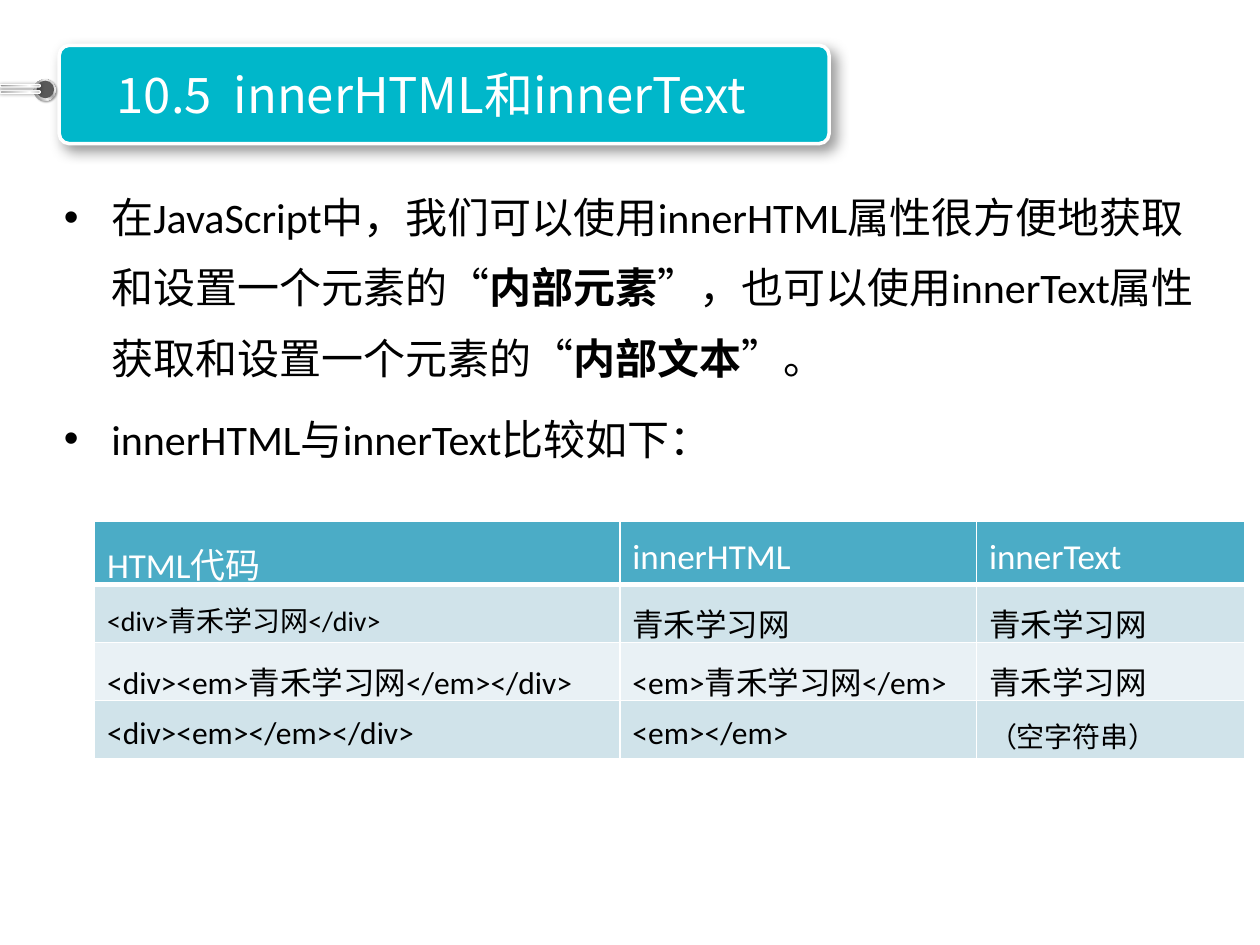
from dataclasses import dataclass
from typing import Optional, Sequence, Union

from lxml import etree
from pptx import Presentation
from pptx import util as u
from pptx.dml import color
from pptx.enum import shapes, text
from pptx.oxml import ns

WHITE, BLACK, TEAL = "FFFFFF", "000000", "00B7CA"
HEADER, BAND_DARK, BAND_LIGHT = "4BACC6", "D0E3EA", "E9F1F5"
RING = [(0, WHITE), (17, "A6A6A6"), (35, "F2F2F2"), (55, "A6A6A6"), (75, "F2F2F2"), (100, "A6A6A6")]
METAL = [(0, "808080"), (23, "A6A6A6"), (52, "D9D9D9"), (74, WHITE), (100, "A6A6A6")]


@dataclass
class Shadow:
    """Outer shadow: blur and distance in points, angle in degrees."""
    blur: float
    distance: float
    angle: float


@dataclass
class Part:
    """One piece of the title banner."""
    kind: shapes.MSO_SHAPE
    at: tuple
    fill: Union[str, list]
    angle: float = 0
    adjust: Optional[float] = None
    line: float = 0
    rotation: float = 0
    shadow: Optional[Shadow] = None


@dataclass
class Entry:
    """One table cell's wording and size."""
    words: str
    size: float = 18


ROUND, OVAL = shapes.MSO_SHAPE.ROUNDED_RECTANGLE, shapes.MSO_SHAPE.OVAL
PARTS = [
    Part(ROUND, (33.84, 25.92, 439.92, 56.16), TEAL, adjust=0.1, line=2, shadow=Shadow(8, 4, 45)),
    Part(OVAL, (19.44, 45.36, 12.24, 12.24), RING, 45, rotation=270, shadow=Shadow(1, 1, 45)),
    Part(OVAL, (20.88, 46.08, 10.08, 10.08), "595959", rotation=270),
] + [
    Part(ROUND, (10.8, top, 1.44, 23.04), METAL, 90, 0.5, 0.75, 270, Shadow(2, 0, 0))
    for top in (41.04, 37.44)
]
BULLETS = [
    [("在JavaScript中，我们可以使用innerHTML属性很方便地获取和设置一个元素的“", False),
     ("内部元素", True),
     ("”，也可以使用innerText属性获取和设置一个元素的“", False),
     ("内部文本", True),
     ("”。", False)],
    [("innerHTML与innerText比较如下：", False)],
]
SITE = "青禾学习网"
ROWS = [
    [Entry("HTML代码", 20), Entry("innerHTML", 20), Entry("innerText", 20)],
    [Entry(f"<div>{SITE}</div>", 16), Entry(SITE), Entry(SITE)],
    [Entry(f"<div><em>{SITE}</em></div>"), Entry(f"<em>{SITE}</em>"), Entry(SITE)],
    [Entry("<div><em></em></div>"), Entry("<em></em>"), Entry("（空字符串）", 16)],
]
COLUMNS = (300.24, 203.76, 153.36)
ROW_HEIGHT = 30.96


def rgb(value: str) -> color.RGBColor:
    """Turn a hex string into a colour."""
    return color.RGBColor.from_string(value)


def child(parent, tag: str, **attributes):
    """Append a DrawingML element."""
    values = {name: str(value) for name, value in attributes.items()}
    return etree.SubElement(parent, ns.qn(f"a:{tag}"), values)


def place(item, at: Sequence[float]) -> None:
    """Set left, top, width and height in points."""
    item.left, item.top, item.width, item.height = map(u.Pt, at)


def add_span(para, words: str, size: float, ink: str, font: str = "Calibri", bold: bool = False) -> None:
    """Add one formatted run."""
    span = para.add_run()
    span.text = words
    span.font.size, span.font.name, span.font.bold = u.Pt(size), font, bold
    span.font.color.rgb = rgb(ink)


def paint_gradient(shape, stops: list, angle: float) -> None:
    """Fill a shape with a linear gradient."""
    shape.fill.gradient()
    shape.fill.gradient_angle = (360 - angle) % 360
    stop_list = shape._element.spPr.find(f".//{ns.qn('a:gsLst')}")
    for stop in list(stop_list):
        stop_list.remove(stop)
    for position, value in stops:
        child(child(stop_list, "gs", pos=position * 1000), "srgbClr", val=value)


def cast_shadow(shape, shadow: Shadow) -> None:
    """Give a shape a soft black shadow."""
    effects = shape._element.spPr.find(ns.qn("a:effectLst"))
    outer = child(effects, "outerShdw", blurRad=u.Pt(shadow.blur), dist=u.Pt(shadow.distance),
                  dir=int(shadow.angle * 60000), algn="tl", rotWithShape=0)
    child(child(outer, "srgbClr", val=BLACK), "alpha", val=40000)


def add_part(page, part: Part) -> None:
    """Draw one banner piece."""
    shape = page.shapes.add_shape(part.kind, *map(u.Pt, part.at))
    shape.rotation = part.rotation
    shape.shadow.inherit = False
    if part.adjust is not None:
        shape.adjustments[0] = part.adjust
    if isinstance(part.fill, str):
        shape.fill.solid()
        shape.fill.fore_color.rgb = rgb(part.fill)
    else:
        paint_gradient(shape, part.fill, part.angle)
    if part.line:
        shape.line.color.rgb = rgb(WHITE)
        shape.line.width = u.Pt(part.line)
    else:
        shape.line.fill.background()
    if part.shadow:
        cast_shadow(shape, part.shadow)


def set_title(page) -> None:
    """Write the title and bring it in front of the banner."""
    title = page.shapes.title
    place(title, (19.44, 33.12, 454.32, 41.04))
    frame = title.text_frame
    frame.auto_size = text.MSO_AUTO_SIZE.NONE
    frame.vertical_anchor = text.MSO_ANCHOR.MIDDLE
    para = frame.paragraphs[0]
    para.alignment = text.PP_ALIGN.CENTER
    add_span(para, "10.5  innerHTML和innerText", 28, WHITE, "Noto Sans CJK SC")
    title._element.getparent().append(title._element)


def add_bullets(page) -> None:
    """Write the bulleted explanation."""
    box = page.shapes.add_textbox(*map(u.Pt, (29.52, 94.32, 662.4, 181.44)))
    frame = box.text_frame
    frame.word_wrap = True
    for index, spans in enumerate(BULLETS):
        para = frame.add_paragraph() if index else frame.paragraphs[0]
        para.line_spacing, para.space_before = 1.4, u.Pt(5.76)
        properties = para._p.get_or_add_pPr()
        properties.set("marL", str(u.Pt(27)))
        properties.set("indent", str(u.Pt(-27)))
        child(properties, "buFont", typeface="Arial")
        child(properties, "buChar", char="•")
        for words, bold in spans:
            add_span(para, words, 24, BLACK, bold=bold)


def format_cell(cell, entry: Entry, ink: str, fill: str, bottom: float) -> None:
    """Write, border and fill one table cell."""
    para = cell.text_frame.paragraphs[0]
    para.line_spacing = 1.2
    add_span(para, entry.words, entry.size, ink)
    properties = cell._tc.get_or_add_tcPr()
    for side, width in (("lnL", 1), ("lnR", 1), ("lnT", 1), ("lnB", bottom)):
        child(child(child(properties, side, w=u.Pt(width)), "solidFill"), "srgbClr", val=WHITE)
    cell.fill.solid()
    cell.fill.fore_color.rgb = rgb(fill)


def add_comparison(page) -> None:
    """Draw the comparison table."""
    bounds = (54, 298.08, sum(COLUMNS), ROW_HEIGHT * len(ROWS))
    table = page.shapes.add_table(len(ROWS), len(COLUMNS), *map(u.Pt, bounds)).table
    for column, width in zip(table.columns, COLUMNS):
        column.width = u.Pt(width)
    for index, entries in enumerate(ROWS):
        table.rows[index].height = u.Pt(ROW_HEIGHT)
        band = BAND_DARK if index % 2 else BAND_LIGHT
        ink, fill, bottom = (BLACK, band, 1) if index else (WHITE, HEADER, 3)
        for cell, entry in zip(table.rows[index].cells, entries):
            format_cell(cell, entry, ink, fill, bottom)


def main() -> None:
    """Build and save the slide."""
    deck = Presentation()
    deck.slide_width, deck.slide_height = u.Pt(720), u.Pt(540)
    page = deck.slides.add_slide(deck.slide_layouts[5])
    for part in PARTS:
        add_part(page, part)
    set_title(page)
    add_bullets(page)
    add_comparison(page)
    deck.save("out.pptx")


main()
